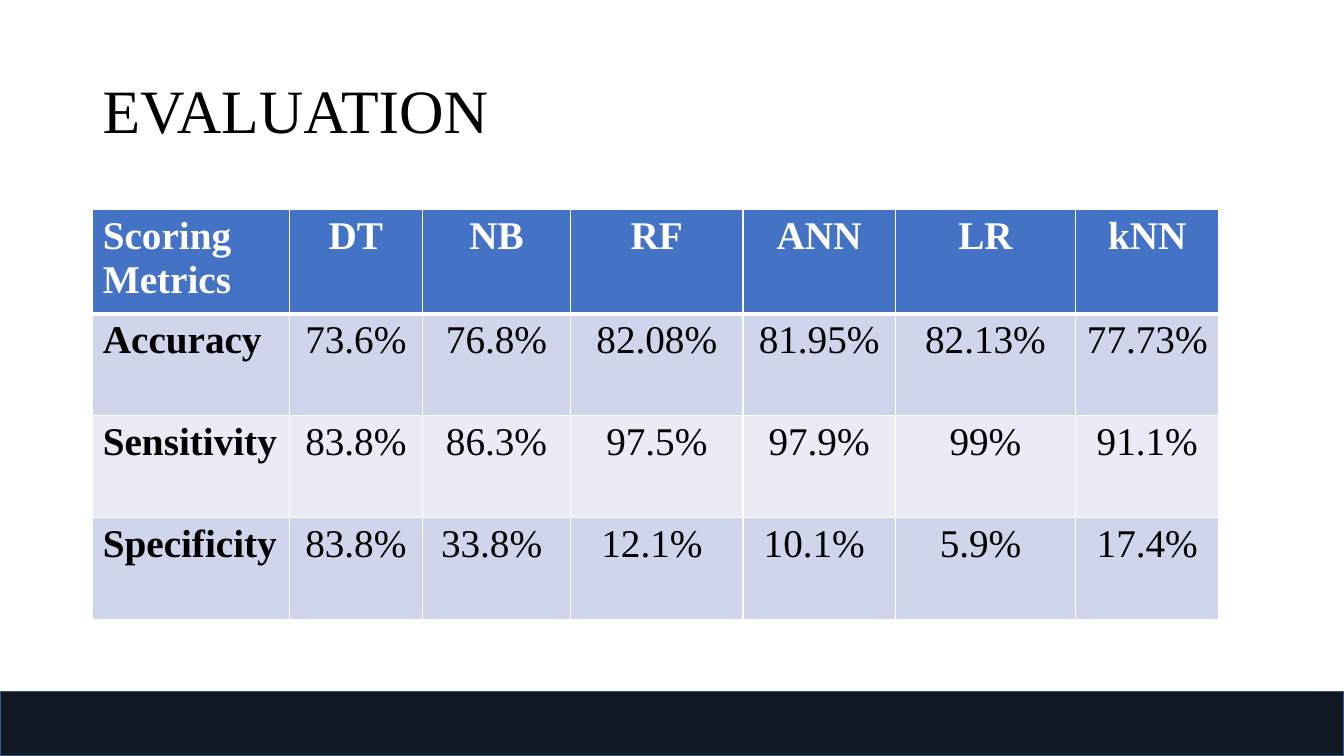
from lxml import etree
from pptx import Presentation
from pptx import util as u
from pptx.dml.color import RGBColor
from pptx.enum import shapes, text
from pptx.oxml.ns import qn

HEADING = "EVALUATION"
METRICS = [
    ("Scoring Metrics", "DT", "NB", "RF", "ANN", "LR", "kNN"),
    ("Accuracy", "73.6%", "76.8%", "82.08%", "81.95%", "82.13%", "77.73%"),
    ("Sensitivity", "83.8%", "86.3%", "97.5%", "97.9%", "99%", "91.1%"),
    ("Specificity", "83.8%", "33.8% ", "12.1% ", "10.1% ", "5.9% ", "17.4%"),
]
COLUMN_WIDTHS = (1.95, 1.32, 1.47, 1.71, 1.51, 1.79, 1.42)
ROW_HEIGHT = 1.01
SLIDE_WIDTH, SLIDE_HEIGHT = 13.33, 7.5
LEFT = 0.92
FOOTER_TOP = 6.86
COLORS = {
    "ink": "000000",
    "white": "FFFFFF",
    "header": "4472C4",
    "odd": "CFD5EA",
    "even": "E9EBF5",
    "footer": "0F1823",
    "footer_edge": "325491",
}


def rgb(name):
    return RGBColor.from_string(COLORS[name])


def box(left, top, width, height):
    return [u.Inches(length) for length in (left, top, width, height)]


def write(paragraph, words, size, color, bold=False):
    run = paragraph.add_run()
    run.text = words
    font_values = {"name": "Times New Roman", "size": u.Pt(size), "bold": bold}
    for key, value in font_values.items():
        setattr(run.font, key, value)
    run.font.color.rgb = rgb(color)


def add_borders(cell, bottom_width):
    properties = cell._tc.get_or_add_tcPr()
    widths = {"lnL": 1, "lnR": 1, "lnT": 1, "lnB": bottom_width}
    for position, (side, width) in enumerate(widths.items()):
        border = etree.Element(qn(f"a:{side}"), w=str(u.Pt(width)))
        fill = etree.SubElement(border, qn("a:solidFill"))
        etree.SubElement(fill, qn("a:srgbClr"), val=COLORS["white"])
        properties.insert(position, border)


def add_heading(slide):
    frame = slide.shapes.add_textbox(*box(LEFT, 0.4, 11.5, 1.45)).text_frame
    frame.word_wrap = True
    frame.vertical_anchor = text.MSO_ANCHOR.MIDDLE
    frame.paragraphs[0].line_spacing = 0.9
    write(frame.paragraphs[0], HEADING, 44, "ink")


def add_metrics(slide):
    place = box(LEFT, 2.08, sum(COLUMN_WIDTHS), ROW_HEIGHT * len(METRICS))
    table = slide.shapes.add_table(len(METRICS), len(COLUMN_WIDTHS), *place).table
    for column, width in zip(table.columns, COLUMN_WIDTHS):
        column.width = u.Inches(width)
    for r, scores in enumerate(METRICS):
        table.rows[r].height = u.Inches(ROW_HEIGHT)
        band = "header" if r == 0 else ("even", "odd")[r % 2]
        for c, score in enumerate(scores):
            cell = table.cell(r, c)
            cell.fill.solid()
            cell.fill.fore_color.rgb = rgb(band)
            add_borders(cell, 3 if r == 0 else 1)
            paragraph = cell.text_frame.paragraphs[0]
            if c > 0:
                paragraph.alignment = text.PP_ALIGN.CENTER
            write(paragraph, score, 28, "ink" if r else "white", r == 0 or c == 0)


def add_footer(slide):
    place = box(0, FOOTER_TOP, SLIDE_WIDTH, SLIDE_HEIGHT - FOOTER_TOP)
    footer = slide.shapes.add_shape(shapes.MSO_SHAPE.RECTANGLE, *place)
    footer.shadow.inherit = False
    footer.fill.solid()
    footer.fill.fore_color.rgb = rgb("footer")
    footer.line.color.rgb = rgb("footer_edge")
    footer.line.width = u.Pt(1)


def main():
    deck = Presentation()
    deck.slide_width = u.Inches(SLIDE_WIDTH)
    deck.slide_height = u.Inches(SLIDE_HEIGHT)
    slide = deck.slides.add_slide(deck.slide_layouts[6])
    add_heading(slide)
    add_metrics(slide)
    add_footer(slide)
    deck.save("out.pptx")


if __name__ == "__main__":
    main()
